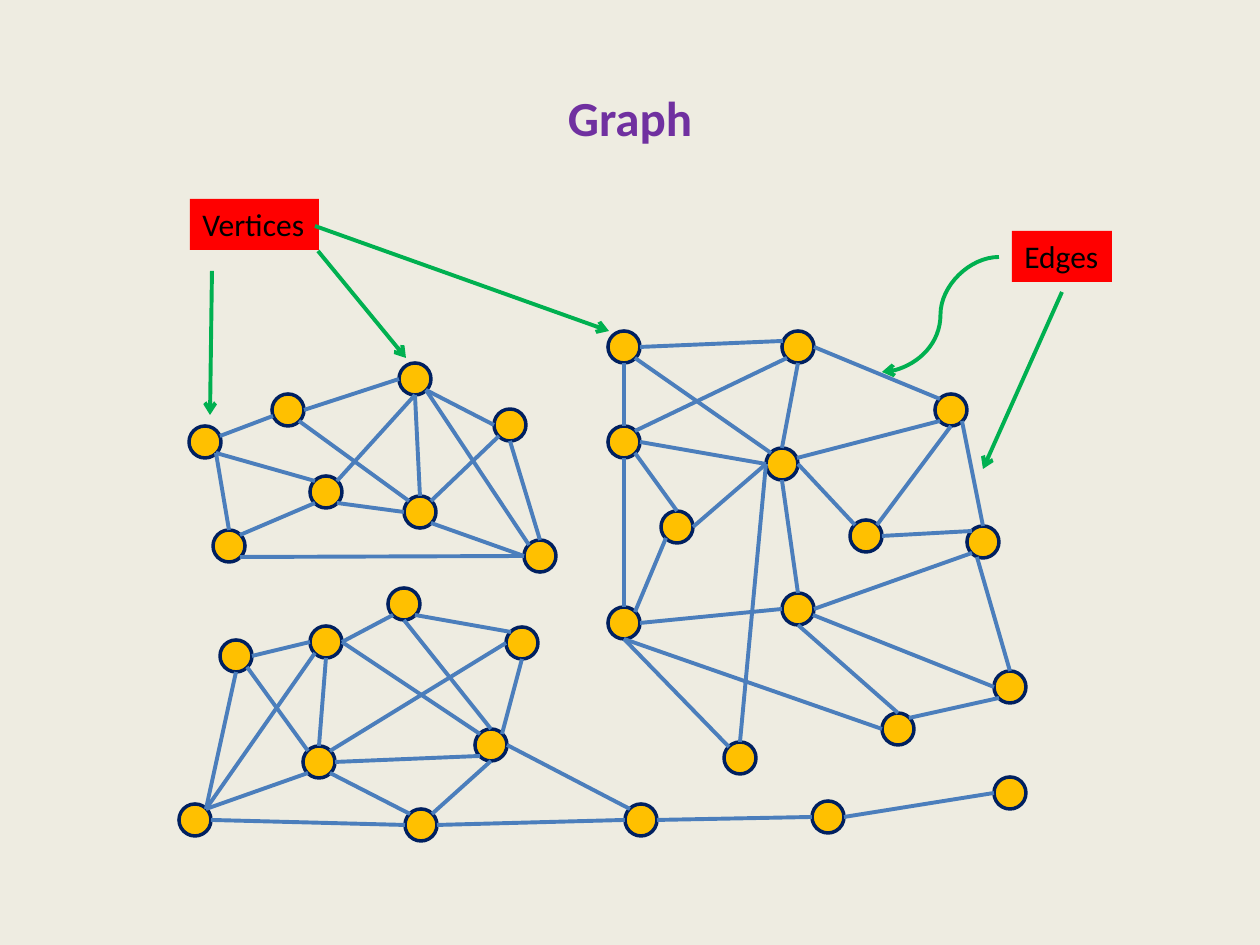
import dataclasses
import math

import lxml.etree
import pptx
import pptx.dml.color
import pptx.enum.shapes
import pptx.enum.text
import pptx.oxml.ns
import pptx.util

PIXEL = 914400 // 126
SHAPE = pptx.enum.shapes.MSO_SHAPE
CONNECTOR = pptx.enum.shapes.MSO_CONNECTOR
COMPASS = ("E ESE SE SSE S SSW SW WSW W WNW NW NNW N NNE NE ENE").split()


@dataclasses.dataclass(frozen=True)
class Theme:
    """Colours, font and sizes in points."""
    background: str = "EEECE1"
    title: str = "7030A0"
    vertex: str = "FFC000"
    outline: str = "002060"
    edge: str = "4B7EBC"
    label: str = "FF0000"
    text: str = "000000"
    arrow: str = "00B050"
    font: str = "Calibri"
    title_size: int = 28
    label_size: int = 18
    outline_width: float = 2
    line_width: float = 2.25


THEME = Theme()
RADIUS = 16

# Vertices are centres within the graph's box; each edge names a vertex and
# the compass point on its rim, then the same for the other end.
UPPER_GRAPH = dict(
    box=(189, 363, 367, 209),
    vertices=dict(a=(16, 79), b=(99, 47), c=(40, 183), d=(137, 129),
                  e=(231, 149), f=(321, 62), g=(351, 193), h=(226, 16)),
    edges="""a ENE b WSW, b E h W, h SE f W, b SE e NW, h S d NE, g N f S,
        g W e SE, g W c SE, c NE d SW, a SE d NW, a SE c N, e W d SE,
        f SW e NE, e N h S, h SE g NW""")
LOWER_GRAPH = dict(
    box=(179, 588, 847, 253),
    vertices=dict(a=(57, 68), b=(147, 54), c=(225, 16), d=(343, 55),
                  e=(140, 174), f=(312, 157), g=(16, 232), h=(242, 237),
                  i=(462, 232), j=(649, 229), k=(831, 205)),
    edges="""e NE d W, f NE d S, c SW b E, j E k W, f SW e E, g NE a S,
        b S e N, h NW e SE, g E h W, b W a E, g NE e SW, h E i W, j W i E,
        f E i NW, b E f NW, a SE e NW, b SW g NE, f S h NE, c S f N,
        c SE d NW""")
RIGHT_GRAPH = dict(
    box=(608, 331, 418, 443),
    vertices=dict(a=(16, 16), b=(190, 16), c=(343, 79), d=(16, 111),
                  e=(174, 133), f=(69, 196), g=(258, 205), h=(375, 211),
                  i=(16, 292), j=(190, 278), k=(402, 356), l=(290, 398),
                  m=(132, 427)),
    edges="""i E j W, d E e W, a E b WNW, a S d N, e ENE c SW, m NW i S,
        d S i N, e S j N, b E c NW, h N c SE, j E h SW, l NE k SW, d SE f N,
        h SSW k N, e W m N, j S l N, g E h NW, e W f E, i NE f SW, g NE c S,
        i S l W, b S e N, k W j ESE, a SE e NW, b SW d NE, e E g NW""")


def px(*lengths):
    """Turn whole pixels into EMU."""
    return [pptx.util.Emu(length * PIXEL) for length in lengths]


def rgb(value):
    """Turn a hex string into a colour."""
    return pptx.dml.color.RGBColor.from_string(value)


def write(box, text, size, color, bold=False):
    """Put one line of text in a box and return its paragraph."""
    box.text_frame.text = text
    para = box.text_frame.paragraphs[0]
    font = para.runs[0].font
    font.name, font.size, font.bold = THEME.font, pptx.util.Pt(size), bold
    font.color.rgb = rgb(color)
    return para


def draw_line(page, start, end, color, kind=CONNECTOR.STRAIGHT, arrow=False):
    """Draw a flat connector, with an open arrowhead at its end if asked."""
    line = page.shapes.add_connector(kind, *px(*start, *end))
    line.line.color.rgb = rgb(color)
    line.line.width = pptx.util.Pt(THEME.line_width)
    qn = pptx.oxml.ns.qn
    if arrow:
        outline = line.line._get_or_add_ln()
        lxml.etree.SubElement(outline, qn("a:tailEnd"), type="arrow")
    lxml.etree.SubElement(line._element.spPr, qn("a:effectLst"))


def draw_title(page, box, text):
    """Centre the title in its box."""
    title = page.shapes.add_textbox(*px(*box))
    title.text_frame.word_wrap = True
    title.text_frame.vertical_anchor = pptx.enum.text.MSO_ANCHOR.MIDDLE
    para = write(title, text, THEME.title_size, THEME.title, bold=True)
    para.alignment = pptx.enum.text.PP_ALIGN.CENTER


def draw_vertices(page, box, vertices):
    """Draw each vertex as a circle about its centre."""
    for x, y in vertices.values():
        circle = page.shapes.add_shape(SHAPE.OVAL, *px(
            box[0] + x - RADIUS, box[1] + y - RADIUS, 2 * RADIUS, 2 * RADIUS))
        circle.shadow.inherit = False
        circle.fill.solid()
        circle.fill.fore_color.rgb = rgb(THEME.vertex)
        circle.line.color.rgb = rgb(THEME.outline)
        circle.line.width = pptx.util.Pt(THEME.outline_width)


def rim_point(box, centre, direction):
    """Find the point on a vertex's rim in a compass direction."""
    angle = COMPASS.index(direction) * math.tau / len(COMPASS)
    return (box[0] + centre[0] + round(RADIUS * math.cos(angle)),
            box[1] + centre[1] + round(RADIUS * math.sin(angle)))


def draw_graph(page, box, vertices, edges):
    """Draw a graph's vertices, then the edges that join them."""
    draw_vertices(page, box, vertices)
    for edge in edges.split(","):
        first, leaving, second, arriving = edge.split()
        draw_line(page, rim_point(box, vertices[first], leaving),
                  rim_point(box, vertices[second], arriving), THEME.edge)


def draw_label(page, box, text, arrows):
    """Draw a label and its arrows, which are measured from its corner."""
    label = page.shapes.add_shape(SHAPE.RECTANGLE, *px(*box))
    label.shadow.inherit = False
    label.fill.solid()
    label.fill.fore_color.rgb = rgb(THEME.label)
    label.line.fill.background()
    label.text_frame.word_wrap = False
    label.text_frame.auto_size = pptx.enum.text.MSO_AUTO_SIZE.SHAPE_TO_FIT_TEXT
    label.text_frame.vertical_anchor = pptx.enum.text.MSO_ANCHOR.TOP
    para = write(label, text, THEME.label_size, THEME.text)
    para.alignment = pptx.enum.text.PP_ALIGN.LEFT
    left, top = box[:2]
    for kind, x1, y1, x2, y2 in arrows:
        draw_line(page, (left + x1, top + y1), (left + x2, top + y2),
                  THEME.arrow, kind, arrow=True)


def build_graph_slide(deck):
    """Add the slide with the title, three graphs and two labels."""
    page = deck.slides.add_slide(deck.slide_layouts[6])
    page.background.fill.solid()
    page.background.fill.fore_color.rgb = rgb(THEME.background)
    draw_title(page, (63, 38, 1134, 158), "Graph")
    for graph in (UPPER_GRAPH, LOWER_GRAPH, RIGHT_GRAPH):
        draw_graph(page, **graph)
    draw_label(page, (190, 199, 129, 51), "Vertices", [
        (CONNECTOR.STRAIGHT, 125, 27, 419, 132),
        (CONNECTOR.STRAIGHT, 128, 52, 216, 159),
        (CONNECTOR.STRAIGHT, 22, 72, 20, 216)])
    draw_label(page, (1012, 231, 100, 51), "Edges", [
        (CONNECTOR.STRAIGHT, 50, 61, -29, 238),
        (CONNECTOR.CURVE, -13, 26, -130, 141)])


deck = pptx.Presentation()
deck.slide_width, deck.slide_height = pptx.util.Inches(10), pptx.util.Inches(7.5)
build_graph_slide(deck)
deck.save("out.pptx")
